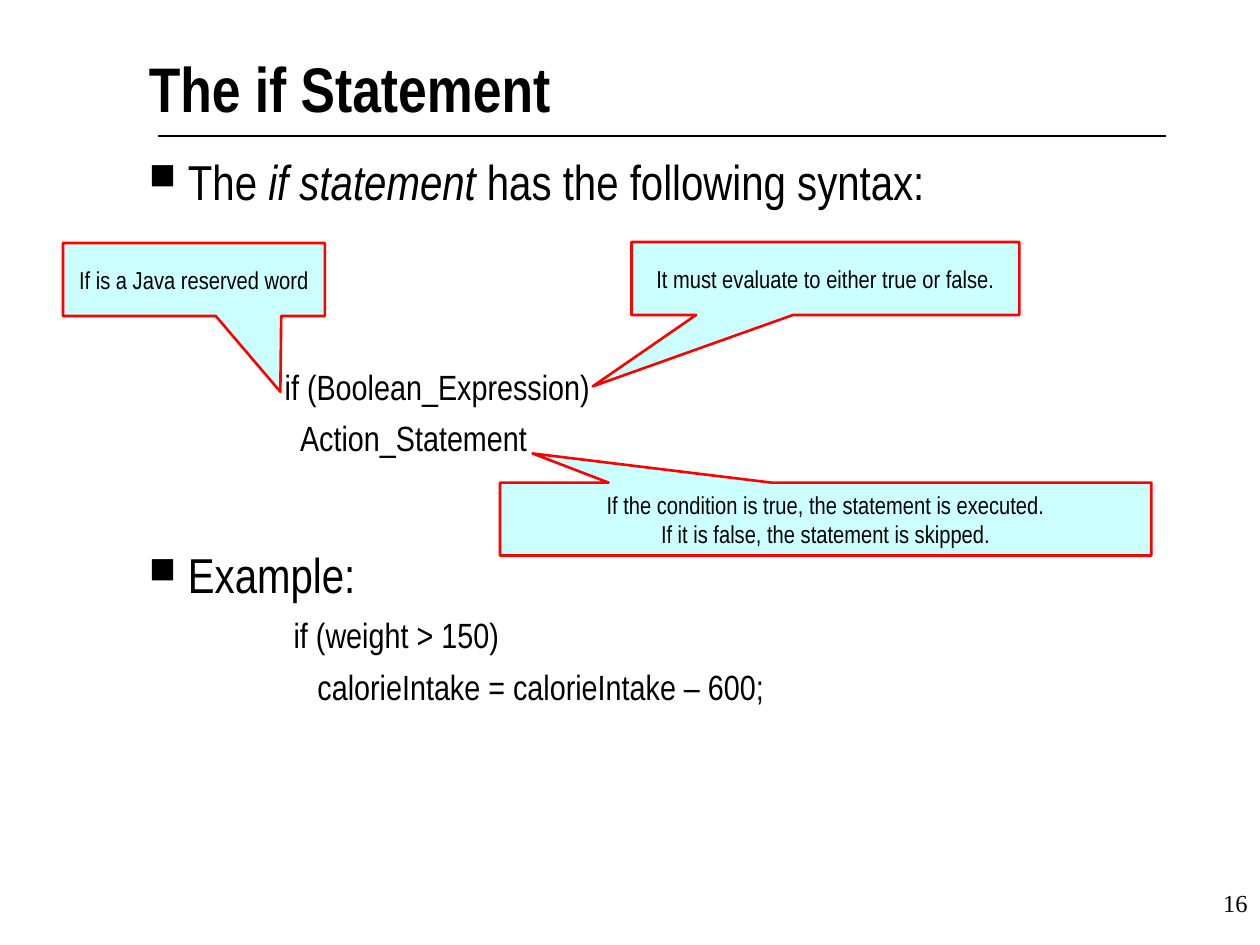
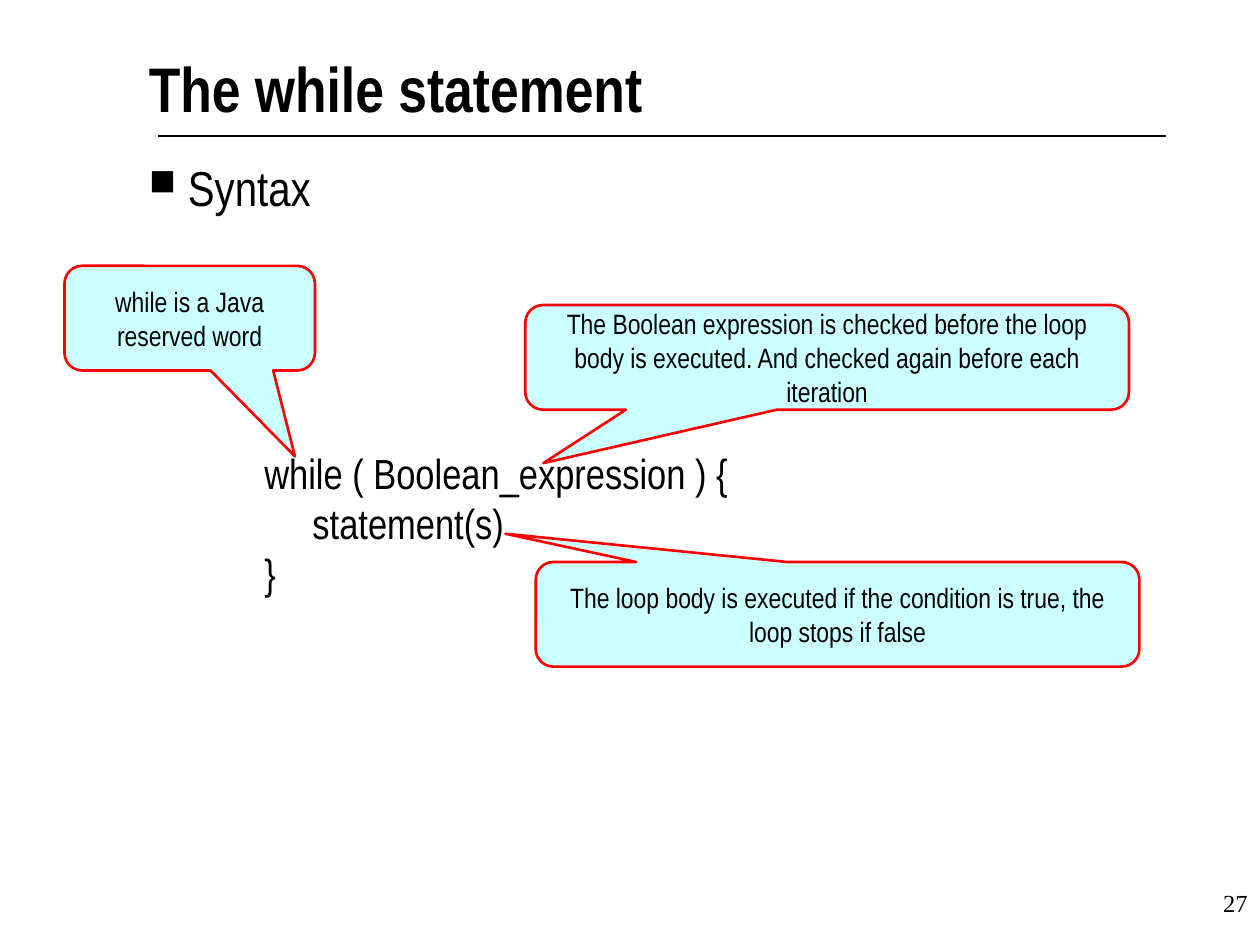
import dataclasses

import lxml.etree
import pptx
import pptx.dml.color
import pptx.enum.shapes
import pptx.enum.text
import pptx.oxml.ns
import pptx.util

Cm = pptx.util.Cm
Pt = pptx.util.Pt
Shapes = pptx.enum.shapes.MSO_SHAPE
Align = pptx.enum.text.PP_ALIGN
Anchor = pptx.enum.text.MSO_ANCHOR

COLORS = {"text": "000000", "callout": "CCFFFF", "outline": "FF0000"}
BODY_FONT = "Arial Narrow"
NUMBER_FONT = "Times New Roman"

TITLE_BOX = (3, 1, 19.43, 1.9)
BODY_BOX = (3, 3.18, 20.96, 13.34)
NUMBER_BOX = (20.12, 17.78, 5.28, 1.27)
RULE_LEFT, RULE_RIGHT, RULE_TOP = 3.18, 23.5, 2.74
BULLET_INDENT = 0.79


@dataclasses.dataclass
class Line:
    runs: list
    size: float
    left: float = 0
    before: float = 0
    spacing: float = 1
    bullet: bool = False


def color(name):
    return pptx.dml.color.RGBColor.from_string(COLORS[name])


def add_run(para, text, size, font=BODY_FONT, bold=False, italic=False):
    span = para.add_run()
    span.text = text
    span.font.size = Pt(size)
    span.font.name = font
    span.font.bold = bold
    span.font.italic = italic
    span.font.color.rgb = color("text")


def add_paragraphs(frame, count):
    for _ in range(count - 1):
        frame.add_paragraph()
    return frame.paragraphs


def add_text_box(page, box, inset=True):
    frame = page.shapes.add_textbox(*map(Cm, box)).text_frame
    frame.word_wrap = True
    if not inset:
        frame.margin_left = frame.margin_right = 0
        frame.margin_top = frame.margin_bottom = 0
    return frame


def set_indent(para, left, bullet):
    properties = para._p.get_or_add_pPr()
    first = -BULLET_INDENT if bullet else 0
    properties.set("marL", str(Cm(left - first)))
    properties.set("indent", str(Cm(first)))
    if bullet:
        qn = pptx.oxml.ns.qn
        lxml.etree.SubElement(properties, qn("a:buSzPct"), val="75000")
        lxml.etree.SubElement(properties, qn("a:buChar"), char="■")


def add_lines(page, box, lines, inset=False):
    frame = add_text_box(page, box, inset)
    for para, line in zip(add_paragraphs(frame, len(lines)), lines):
        para.line_spacing = line.spacing
        para.space_before = Pt(line.before)
        set_indent(para, line.left, line.bullet)
        for text, italic in line.runs:
            add_run(para, text, line.size, italic=italic)


def add_callout(page, kind, box, tail, texts, size):
    callout = page.shapes.add_shape(kind, *map(Cm, box))
    for index, value in enumerate(tail):
        callout.adjustments[index] = value
    callout.shadow.inherit = False
    callout.fill.solid()
    callout.fill.fore_color.rgb = color("callout")
    callout.line.color.rgb = color("outline")
    callout.line.width = Pt(1.5)
    frame = callout.text_frame
    frame.word_wrap = True
    frame.vertical_anchor = Anchor.MIDDLE
    for para, text in zip(add_paragraphs(frame, len(texts)), texts):
        para.alignment = Align.CENTER
        add_run(para, text, size)


def add_page(deck, title, number):
    page = deck.slides.add_slide(deck.slide_layouts[6])
    rule = page.shapes.add_connector(
        pptx.enum.shapes.MSO_CONNECTOR.STRAIGHT,
        Cm(RULE_LEFT), Cm(RULE_TOP), Cm(RULE_RIGHT), Cm(RULE_TOP))
    rule.line.color.rgb = color("text")
    rule.line.width = Pt(0.75)
    lxml.etree.SubElement(rule._element.spPr, pptx.oxml.ns.qn("a:effectLst"))

    heading = add_text_box(page, TITLE_BOX, inset=False)
    add_run(heading.paragraphs[0], title, 36, bold=True)

    para = add_text_box(page, NUMBER_BOX).paragraphs[0]
    para.alignment = Align.RIGHT
    add_run(para, str(number), 14, font=NUMBER_FONT)
    return page


def build_if_page(deck):
    page = add_page(deck, "The if Statement", 16)

    def topic(runs, before=0):
        return Line(runs, 28, before=before, spacing=0.9, bullet=True)

    def code(text, left, before=8):
        return Line([(text, False)], 20, left, before, 0.9)

    add_lines(page, BODY_BOX, [
        topic([("The ", False), ("if statement", True),
               (" has the following syntax:", False)]),
        code("if (Boolean_Expression)", 2.74, before=91),
        code("Action_Statement", 3.05),
        topic([("Example:", False)], before=52.6),
        code("if (weight > 150)", 2.92),
        code("calorieIntake = calorieIntake – 600;", 3.4),
    ])

    height = 1.47
    for left, top, width, tail, texts in (
        (1.27, 4.9, 5.28, (0.33, 1.54), ["If is a Java reserved word"]),
        (12.73, 4.88, 7.82, (-0.6, 1.48),
         ["It must evaluate to either true or false."]),
        (10.08, 9.73, 13.13, (-0.45, -0.9),
         ["If the condition is true, the statement is executed.",
          "If it is false, the statement is skipped."]),
    ):
        add_callout(page, Shapes.RECTANGULAR_CALLOUT,
                    (left, top, width, height), tail, texts, 14)


def build_while_page(deck):
    page = add_page(deck, "The while statement", 27)
    add_lines(page, BODY_BOX, [Line([("Syntax", False)], 28, bullet=True)])
    add_lines(page, (5.08, 8.89, 12.7, 3.33), [
        Line([("while ( Boolean_expression ) {", False)], 24),
        Line([("statement(s)", False)], 24, left=0.97),
        Line([("}", False)], 24),
    ], inset=True)

    height, corner = 2.11, 0.17
    for left, top, width, tail, text in (
        (10.59, 6.15, 12.17, (-0.47, 1.01),
         "The Boolean expression is checked before the loop body is executed. "
         "And checked again before each iteration"),
        (1.3, 5.36, 5.05, (0.42, 1.32), "while is a Java reserved word"),
        (10.8, 11.33, 12.17, (-0.55, -0.77),
         "The loop body is executed if the condition is true, "
         "the loop stops if false"),
    ):
        add_callout(page, Shapes.ROUNDED_RECTANGULAR_CALLOUT,
                    (left, top, width, height), (*tail, corner), [text], 16)


def main():
    deck = pptx.Presentation()
    deck.slide_width, deck.slide_height = Cm(25.4), Cm(19.05)
    build_if_page(deck)
    build_while_page(deck)
    deck.save("out.pptx")


if __name__ == "__main__":
    main()
